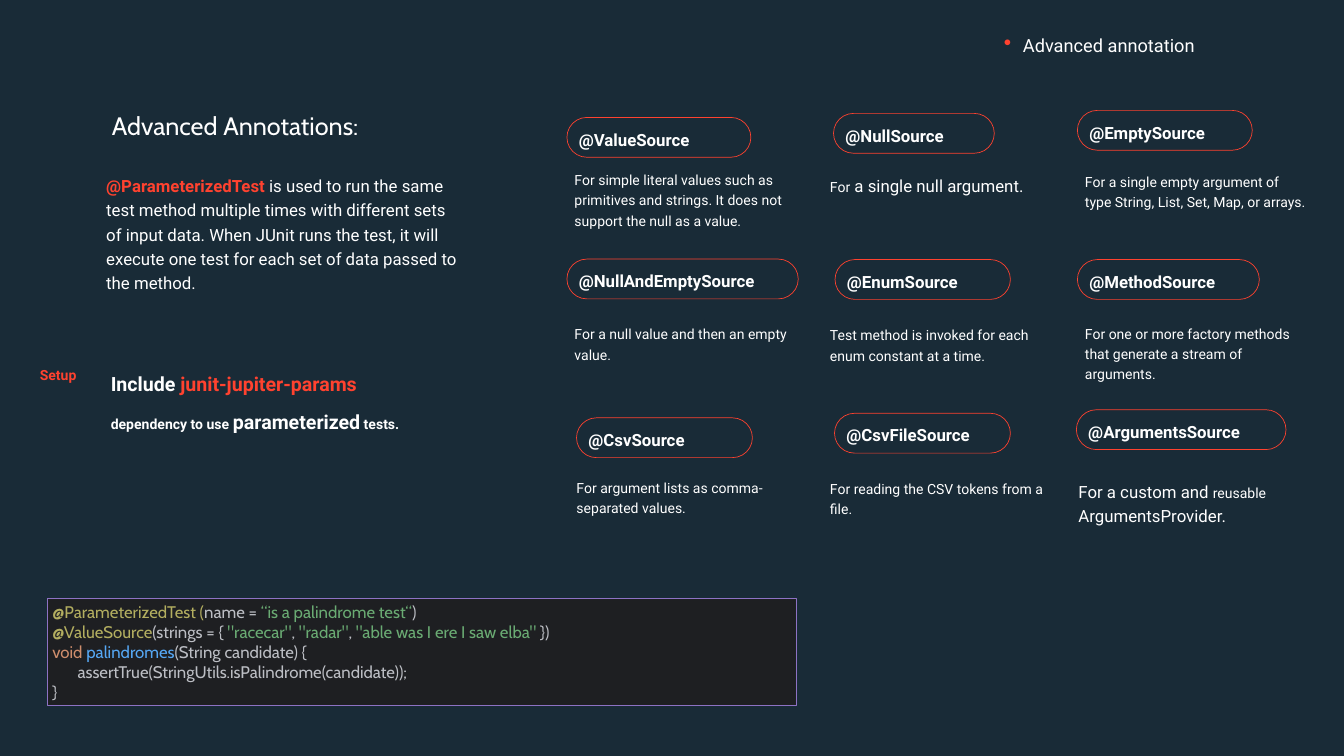
from lxml import etree
from pptx import Presentation
from pptx.dml.color import RGBColor
from pptx.enum.shapes import MSO_SHAPE
from pptx.enum.text import MSO_ANCHOR, PP_ALIGN
from pptx.oxml.ns import qn
from pptx.util import Inches, Pt

RECTANGLE = MSO_SHAPE.RECTANGLE
PILL = MSO_SHAPE.ROUNDED_RECTANGLE
TOP, MIDDLE = MSO_ANCHOR.TOP, MSO_ANCHOR.MIDDLE
LEFT = PP_ALIGN.LEFT

COLORS = {
    "background": "192B37", "white": "FFFFFF", "red": "FF422F",
    "code_fill": "1E1F22", "code_border": "8D72C4", "plain": "BCBEC4",
    "annotation": "B3AE60", "string": "6AAB73", "keyword": "CF8E6D",
    "method": "56A8F5",
}

PILL_HEIGHT = 0.79
NOTE_WIDTH = 4.4

# Annotation, pill (left, top, width), note (left, top, height), note runs
SOURCES = [
    ("@ValueSource", (11.25, 2.33, 3.65), (11.4, 3.34, 1.21),
     ["For simple literal values such as primitives and strings. "
      "It does not support the null as a value."]),
    ("@NullSource", (16.54, 2.25, 3.19), (16.47, 3.4, 0.48),
     ["For", (" a single null argument.", {"size": 24})]),
    ("@EmptySource", (21.38, 2.19, 3.47), (21.53, 3.38, 1.21),
     ["For a single empty argument of type String, List, Set, Map, or arrays."]),
    ("@NullAndEmptySource", (11.25, 5.14, 4.59), (11.4, 6.4, 0.81),
     ["For a null value and then an empty value."]),
    ("@EnumSource", (16.57, 5.15, 3.48), (16.47, 6.42, 0.81),
     ["Test method is invoked for each enum constant at a time."]),
    ("@MethodSource", (21.38, 5.15, 3.61), (21.53, 6.39, 1.21),
     ["For one or more factory methods that generate a stream of arguments."]),
    ("@CsvSource", (11.44, 8.29, 3.49), (11.44, 9.44, 0.81),
     ["For argument lists as comma-separated values."]),
    ("@CsvFileSource", (16.56, 8.2, 3.49), (16.47, 9.46, 0.81),
     ["For reading the CSV tokens from a file."]),
    ("@ArgumentsSource", (21.36, 8.13, 4.16), (21.4, 9.48, 0.97),
     [("For a custom and ", {"size": 24}), "reusable",
      (" ArgumentsProvider.", {"size": 24})]),
]

# Code lines as (text, colour name) tokens
CODE = [
    [("@ParameterizedTest (", "annotation"), ("name = ", "plain"),
     ("“is a palindrome test“", "string"), (")", "plain")],
    [("@ValueSource", "annotation"), ("(strings = { ", "plain"),
     ('"racecar"', "string"), (", ", "plain"), ('"radar"', "string"),
     (", ", "plain"), ('"able was I ere I saw elba" ', "string"),
     ("})", "plain")],
    [("void ", "keyword"), ("palindromes", "method"),
     ("(String candidate) {", "plain")],
    [("\tassertTrue(StringUtils.isPalindrome(candidate));", "plain")],
    [("}", "plain")],
]


def rgb(name):
    return RGBColor.from_string(COLORS[name])


def write(shape, paragraphs, size=20, font="Roboto", color="white", bold=False,
          spacing=1.2, gap=0, anchor=TOP, insets=(0.1, 0.05)):
    """Fill a shape with paragraphs of runs: a string, or (string, overrides)."""
    frame = shape.text_frame
    frame.word_wrap = True
    frame.vertical_anchor = anchor
    frame.margin_left = frame.margin_right = Inches(insets[0])
    frame.margin_top = frame.margin_bottom = Inches(insets[1])
    for index, runs in enumerate(paragraphs):
        paragraph = frame.add_paragraph() if index else frame.paragraphs[0]
        paragraph.alignment = LEFT
        paragraph.line_spacing = spacing
        if index:
            paragraph.space_before = Pt(gap)
        for item in runs:
            text, changes = (item, {}) if isinstance(item, str) else item
            look = {"size": size, "color": color, "bold": bold, **changes}
            run = paragraph.add_run()
            run.text = text
            run.font.name = font
            run.font.size = Pt(look["size"])
            run.font.bold = look["bold"]
            run.font.color.rgb = rgb(look["color"])


def add_text(slide, place, paragraphs, **style):
    write(slide.shapes.add_textbox(*map(Inches, place)), paragraphs, **style)


def add_box(slide, kind, place, fill=None, line=None, line_width=1):
    box = slide.shapes.add_shape(kind, *map(Inches, place))
    box.shadow.inherit = False
    if kind == PILL:
        box.adjustments[0] = 0.5
    if fill:
        box.fill.solid()
        box.fill.fore_color.rgb = rgb(fill)
    else:
        box.fill.background()
    if line:
        box.line.color.rgb = rgb(line)
        box.line.width = Pt(line_width)
    else:
        box.line.fill.background()
    return box


def add_bullet(paragraph, color, indent):
    properties = paragraph._p.get_or_add_pPr()
    properties.set("marL", str(Inches(indent)))
    properties.set("indent", str(-Inches(indent)))
    bullet_color = etree.SubElement(properties, qn("a:buClr"))
    etree.SubElement(bullet_color, qn("a:srgbClr"), val=COLORS[color])
    etree.SubElement(properties, qn("a:buSzPct"), val="120000")
    etree.SubElement(properties, qn("a:buChar"), char="•")


def add_topic(slide):
    topic = add_box(slide, PILL, (19.71, 0.52, 6.1, 0.76))
    write(topic, [["Advanced annotation"]], size=26, spacing=1.0)
    add_bullet(topic.text_frame.paragraphs[0], "red", 0.38)


def add_source(slide, annotation, pill, note, runs):
    """Add an outlined annotation name and the note that explains it."""
    outline = add_box(slide, PILL, (*pill, PILL_HEIGHT), line="red")
    write(outline, [[annotation]], size=24, bold=True, anchor=MIDDLE,
          insets=(0.12, 0.04))
    left, top, height = note
    add_text(slide, (left, top, NOTE_WIDTH, height), [runs], insets=(0, 0))


def add_code(slide):
    panel = add_box(slide, RECTANGLE, (0.94, 11.87, 14.87, 2.12),
                    fill="code_fill", line="code_border", line_width=0.75)
    lines = [[(text, {"color": color}) for text, color in line] for line in CODE]
    write(panel, lines, size=24, font="Cabin", spacing=1.0, anchor=MIDDLE)


def main():
    deck = Presentation()
    deck.slide_width, deck.slide_height = Inches(26.67), Inches(15)
    slide = deck.slides.add_slide(deck.slide_layouts[6])
    slide.background.fill.solid()
    slide.background.fill.fore_color.rgb = rgb("background")

    add_text(slide, (2.16, 1.91, 7.16, 1.05), [["Advanced Annotations:"]],
             size=36, font="Cabin", anchor=MIDDLE, insets=(0.06, 0.06))
    add_code(slide)
    add_topic(slide)
    add_text(slide, (2.1, 7.23, 7.21, 1.44), [
        [("Include ", {"size": 28}),
         ("junit-jupiter-params", {"size": 28, "color": "red"})],
        ["dependency to use ", ("parameterized", {"size": 28}), " tests."],
    ], bold=True, gap=15)
    add_text(slide, (2.01, 3.36, 7.3, 2.52), [[
        ("@ParameterizedTest ", {"color": "red", "bold": True}),
        "is used to run the same test method multiple times with different "
        "sets of input data. When JUnit runs the test, it will execute one "
        "test for each set of data passed to the method.",
    ]], size=24)
    add_text(slide, (0.73, 7.05, 1.99, 0.73), [["Setup"]], color="red",
             bold=True, anchor=MIDDLE, insets=(0.06, 0.06))
    for source in SOURCES:
        add_source(slide, *source)

    deck.save("out.pptx")


if __name__ == "__main__":
    main()
